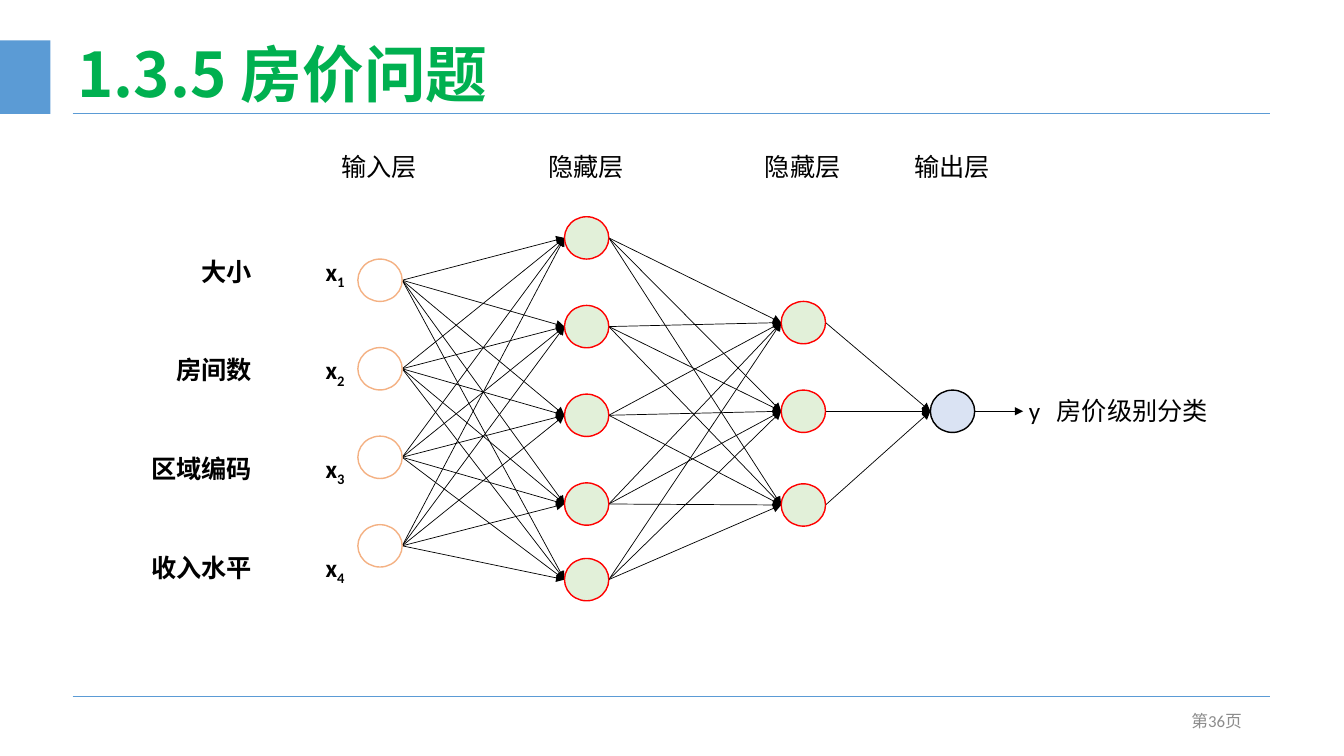
from itertools import pairwise, product

from lxml.etree import SubElement
from pptx import Presentation
from pptx.dml.color import RGBColor
from pptx.enum.shapes import MSO_CONNECTOR, MSO_SHAPE
from pptx.enum.text import MSO_ANCHOR, PP_ALIGN
from pptx.oxml.ns import qn
from pptx.util import Inches, Pt

COLS, ROWS = 80, 45
NODE_W, NODE_H = 2.64, 2.52
LABEL_W = 5.76
GREEN, BLUE, BLACK, GREY = "00B050", "5B9BD5", "000000", "8C8C8C"


def color(value):
    return RGBColor.from_string(value)


class Deck:
    """Style and current slide; lengths are grid columns and rows."""

    body_font, title_font = "Calibri", "Noto Sans CJK SC"

    def __init__(self):
        self.prs = Presentation()
        self.prs.slide_width, self.prs.slide_height = Inches(13.33), Inches(7.5)
        self.s = self.prs.slides.add_slide(self.prs.slide_layouts[5])

    def x(self, cols):
        return round(self.prs.slide_width * cols / COLS)

    def y(self, rows):
        return round(self.prs.slide_height * rows / ROWS)

    def box(self, left, top, width, height):
        return self.x(left), self.y(top), self.x(width), self.y(height)

    def style(self, r, size, fill, bold=False, font=None):
        r.font.size, r.font.bold = Pt(size), bold
        r.font.name = font or self.body_font
        r.font.color.rgb = color(fill)
        SubElement(r._r.get_or_add_rPr(), qn("a:ea"), typeface=r.font.name)

    def title(self, text, *place):
        sp = self.s.shapes.title
        sp.left, sp.top, sp.width, sp.height = self.box(*place)
        tf = sp.text_frame
        tf.text = text
        tf.vertical_anchor = MSO_ANCHOR.MIDDLE
        p = tf.paragraphs[0]
        p.alignment, p.line_spacing = PP_ALIGN.LEFT, 0.9
        self.style(p.runs[0], 44, GREEN, True, self.title_font)

    def text(self, text, *place, size=18, fill=BLACK, bold=False, wrap=True,
             align=PP_ALIGN.LEFT, anchor=MSO_ANCHOR.TOP):
        tf = self.s.shapes.add_textbox(*self.box(*place)).text_frame
        tf.word_wrap, tf.vertical_anchor = wrap, anchor
        tf.text = text
        for p in tf.paragraphs:
            p.alignment = align
            self.style(p.runs[0], size, fill, bold)
        return tf

    def tabs(self, p, align, *stops):
        tab_list = SubElement(p._p.get_or_add_pPr(), qn("a:tabLst"))
        for stop in stops:
            SubElement(tab_list, qn("a:tab"), pos=str(self.x(stop)), algn=align)

    def shape(self, kind, *place, fill, line=None):
        sp = self.s.shapes.add_shape(kind, *self.box(*place))
        sp.shadow.inherit = False
        sp.fill.solid()
        sp.fill.fore_color.rgb = color(fill)
        if line:
            sp.line.color.rgb, sp.line.width = color(line), Pt(1)
        else:
            sp.line.fill.background()

    def line(self, x1, y1, x2, y2, fill=BLACK, arrow=False):
        c = self.s.shapes.add_connector(
            MSO_CONNECTOR.STRAIGHT, self.x(x1), self.y(y1), self.x(x2), self.y(y2))
        c.line.color.rgb, c.line.width = color(fill), Pt(0.5)
        if arrow:
            SubElement(c.line._get_or_add_ln(), qn("a:tailEnd"), type="triangle")
        SubElement(c._element.spPr, qn("a:effectLst"))


def main():
    deck = Deck()

    # Page frame
    deck.shape(MSO_SHAPE.RECTANGLE, 0, 2.4, 3, 4.38, fill=BLUE)
    for y in (6.72, 41.46):
        deck.line(4.32, y, 75.6, y, fill=BLUE)
    deck.title("1.3.5 房价问题", 4.02, 0.24, 74.34, 8.7)
    deck.text("第36页", 56.52, 41.7, 18, 2.4, size=12, fill=GREY,
              align=PP_ALIGN.RIGHT, anchor=MSO_ANCHOR.MIDDLE)

    # Layers: label, left edge, node centres, fill, outline
    layers = [
        ("输入层", 21.3, [16.68 + 5.27 * i for i in range(4)], "FFFFFF", "F4B183"),
        ("隐藏层", 33.6, [14.16 + 5.28 * i for i in range(4)] + [34.5], "E2F0D9", "FF0000"),
        ("隐藏层", 46.5, [19.2, 24.48, 30.06], "E2F0D9", "FF0000"),
        ("输出层", 55.38, [24.48], "DAE3F3", BLACK),
    ]

    # Links between neighbouring layers, then the output arrow
    for (_, x1, starts, *_), (_, x2, ends, *_) in pairwise(layers):
        for y1, y2 in product(starts, ends):
            deck.line(x1 + NODE_W, y1, x2, y2, arrow=True)
    _, x_out, (y_out,), *_ = layers[-1]
    deck.line(x_out + NODE_W, y_out, 60.9, y_out, arrow=True)

    # Nodes and layer labels
    for label, x, centres, fill, outline in layers:
        for y in centres:
            deck.shape(MSO_SHAPE.OVAL, x, y - NODE_H / 2, NODE_W, NODE_H,
                       fill=fill, line=outline)
        deck.text(label, x + (NODE_W - LABEL_W) / 2, 8.7, LABEL_W, 2.4, wrap=False)

    # Input features with numbered variables
    features = ["大小", "房间数", "区域编码", "收入水平"]
    tf = deck.text("\n".join(f"\t{name}\tx" for name in features),
                   3.12, 14.94, 18.06, 18.78, bold=True)
    for i, p in enumerate(tf.paragraphs, 1):
        p.space_before = Pt(46 if i > 1 else 0)
        deck.tabs(p, "r", 11.28, 16.8)
        r = p.add_run()
        r.text = str(i)
        deck.style(r, 18, BLACK, True)
        r._r.get_or_add_rPr().set("baseline", "-25000")

    # Output
    tf = deck.text("y\t房价级别分类", 60.66, 23.22, 14.82, 2.4)
    deck.tabs(tf.paragraphs[0], "l", 1.65)

    deck.prs.save("out.pptx")


if __name__ == "__main__":
    main()
